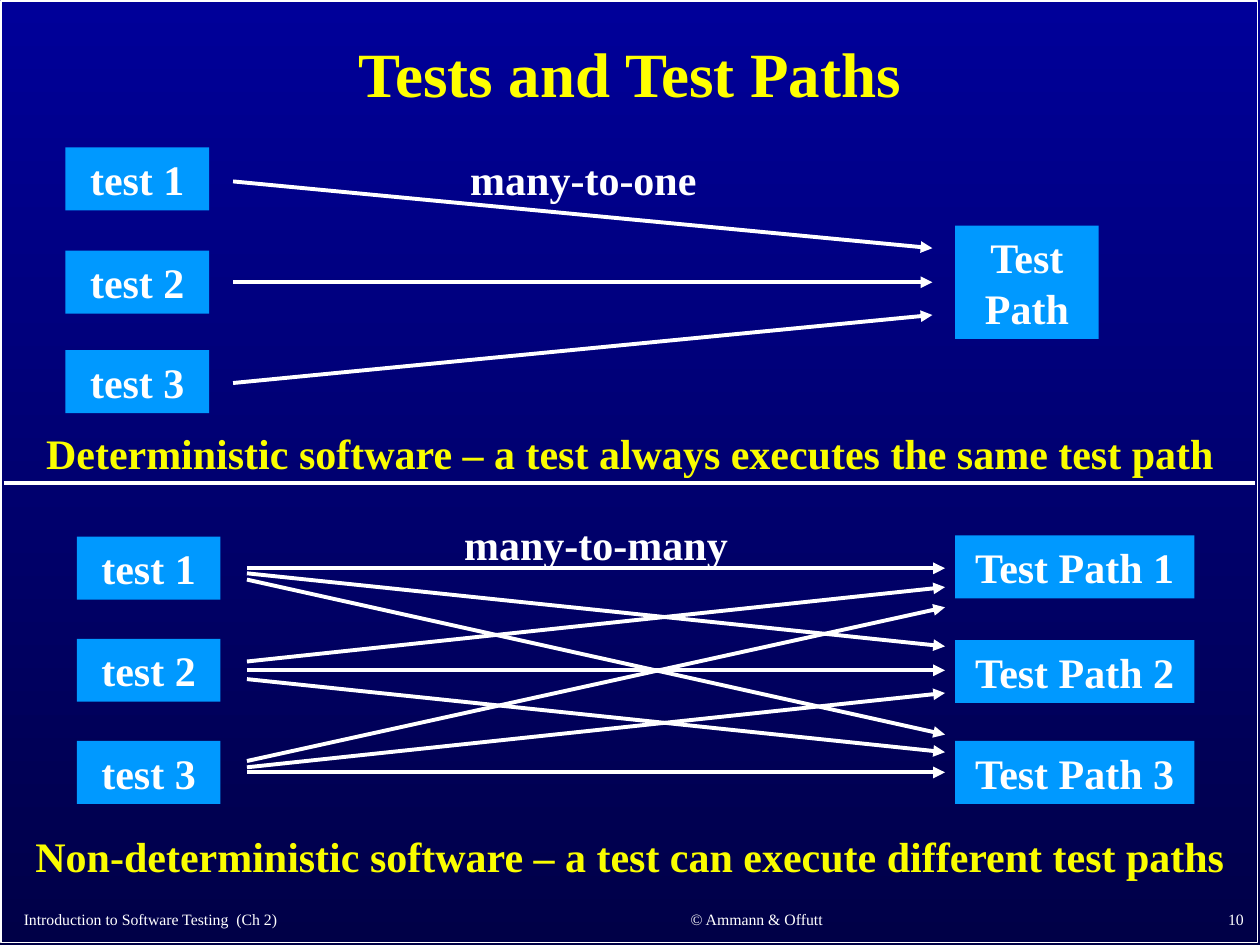
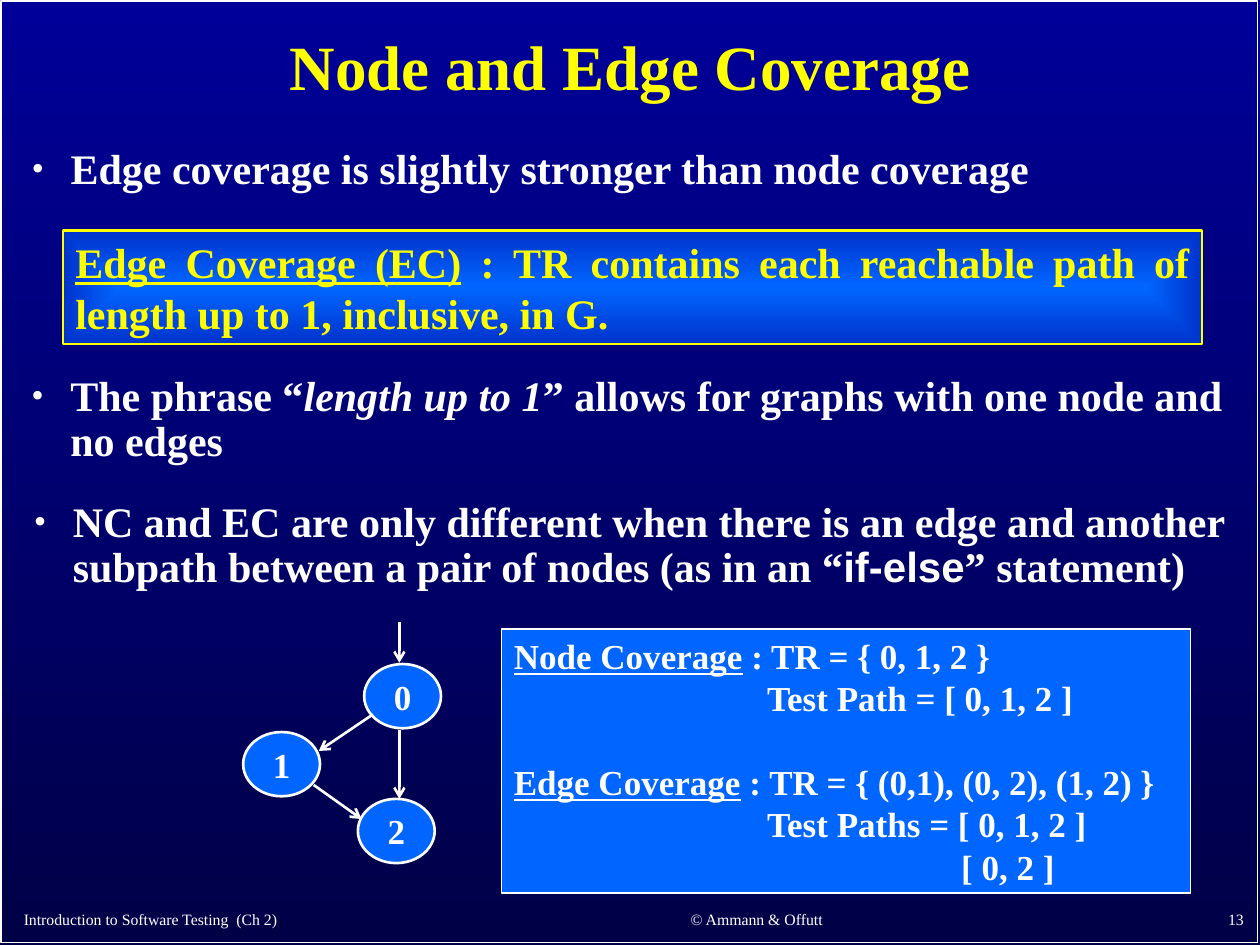
"""Build two slides on test paths and on node and edge coverage."""
from lxml.etree import SubElement
from pptx import Presentation
from pptx.dml.color import RGBColor
from pptx.enum.shapes import MSO_CONNECTOR, MSO_SHAPE
from pptx.enum.text import MSO_ANCHOR, MSO_AUTO_SIZE, PP_ALIGN
from pptx.oxml.ns import qn
from pptx.util import Inches, Pt

ink = RGBColor.from_string
WHITE, GOLD, LEMON = "FFFFFF", "FFFF00", "FAFD00"
SKY, BLUE, DEEP = "0099FF", "0066FF", "0033CC"
FACE = "Times New Roman"
RECT, OVAL = MSO_SHAPE.RECTANGLE, MSO_SHAPE.OVAL
MID = {"alignment": PP_ALIGN.CENTER}
TIGHT = {"line_spacing": 0.9, "space_before": Pt(0)}


def put(page, at, lines, kind=None, hold=None, fill=None, edge=None, width=1,
        color=WHITE, size=24, bold=True, anchor=MSO_ANCHOR.TOP, par=MID):
    """Place a shape, text box or placeholder and write its lines of runs."""
    spot = [Inches(n) for n in at]
    shape = hold or (page.shapes.add_shape(kind, *spot) if kind
                     else page.shapes.add_textbox(*spot))
    for key, val in zip(("left", "top", "width", "height"), spot):
        setattr(shape, key, val)
    if kind:
        shape.shadow.inherit = False
        for part, tone in ((shape.fill, fill), (shape.line.fill, edge)):
            if tone:
                part.solid()
                part.fore_color.rgb = ink(tone)
            else:
                part.background()
        if edge:
            shape.line.width = Pt(width)
    frame = shape.text_frame
    look = {"word_wrap": True, "auto_size": MSO_AUTO_SIZE.NONE, "vertical_anchor": anchor}
    for key, val in look.items():
        setattr(frame, key, val)
    for num, runs in enumerate(lines):
        para = frame.add_paragraph() if num else frame.paragraphs[0]
        for key, val in par.items():
            setattr(para, key, val)
        for text, extra in runs:
            run = para.add_run()
            run.text = text
            run.font.color.rgb = ink(color)
            form = {"name": FACE, "size": Pt(size), "bold": bold} | extra
            for key, val in form.items():
                setattr(run.font, key, val)
    return shape


def link(page, start, end, width=2.25, tip=None):
    """Draw a white line with an optional arrowhead at its end."""
    spots = [Inches(n) for n in (*start, *end)]
    line = page.shapes.add_connector(MSO_CONNECTOR.STRAIGHT, *spots)
    line.line.color.rgb = ink(WHITE)
    line.line.width = Pt(width)
    props = line._element.spPr
    if tip:
        SubElement(props.find(qn("a:ln")), qn("a:tailEnd"), {"type": tip})
    SubElement(props, qn("a:effectLst"))


deck = Presentation()
deck.slide_width, deck.slide_height = Inches(10), Inches(7.5)
back = deck.slide_master.background.fill
back.gradient()
back.gradient_angle = 270
for stop, tone in zip(back.gradient_stops, ("000099", "000047")):
    stop.color.rgb = ink(tone)

pages = []
for layout, title, high, number in ((5, "Tests and Test Paths", 1, "10"),
                                    (1, "Node and Edge Coverage", 0.9, "13")):
    page = deck.slides.add_slide(deck.slide_layouts[layout])
    pages.append(page)
    put(page, (0.01, 0.01, 9.97, 7.47), [], RECT, edge=WHITE)
    for at, text, side in (
            ((0.09, 7.12, 4.12, 0.3), "Introduction to Software Testing  (Ch 2)", PP_ALIGN.LEFT),
            ((4.42, 7.11, 3.17, 0.31), "© Ammann & Offutt", PP_ALIGN.CENTER),
            ((7.89, 7.1, 2.08, 0.32), number, PP_ALIGN.RIGHT)):
        put(page, at, [[(text, {})]], size=9, bold=False,
            anchor=MSO_ANCHOR.BOTTOM, par={"alignment": side})
    put(page, (0.75, 0.11, 8.5, high), [[(title, {})]], hold=page.shapes.title,
        color=GOLD, size=36, anchor=MSO_ANCHOR.MIDDLE, par=MID | TIGHT)
paths, cover = pages

for left, tops in ((0.52, (1.17, 1.99, 2.78)), (0.61, (4.26, 5.07, 5.88))):
    for num, top in enumerate(tops, 1):
        put(paths, (left, top, 1.14, 0.5), [[(f"test {num}", {})]], RECT, fill=SKY)
for num, top in enumerate((4.25, 5.08, 5.88), 1):
    put(paths, (7.58, top, 1.9, 0.5), [[(f"Test Path {num}", {})]], RECT, fill=SKY)
put(paths, (7.58, 1.79, 1.14, 0.9), [[("Test Path", {})]], RECT, fill=SKY)

for at, text, tone in (
        ((3.53, 1.17, 2.2, 0.5), "many-to-one", WHITE),
        ((3.5, 4.07, 2.46, 0.5), "many-to-many", WHITE),
        ((0.14, 3.34, 9.72, 0.5),
         "Deterministic software – a test always executes the same test path", LEMON),
        ((0.14, 6.54, 9.72, 0.5),
         "Non-deterministic software – a test can execute different test paths", LEMON)):
    put(paths, at, [[(text, {})]], color=tone)

for start, end in ((1.44, 1.97), (2.24, 2.24), (3.04, 2.5)):
    link(paths, (1.85, start), (7.4, end), tip="triangle")
exits = ((4.51, 4.55, 4.6), (5.25, 5.32, 5.39), (6.04, 6.09, 6.13))
goals = ((4.51, 5.13, 5.83), (4.66, 5.32, 5.97), (4.82, 5.5, 6.13))
for starts, ends in zip(exits, goals):
    for start, end in zip(starts, ends):
        link(paths, (1.96, start), (7.5, end), tip="triangle")
link(paths, (0.03, 3.83), (9.96, 3.83))

points = (
    ((0.15, 1.13, 9.7, 0.52), cover.placeholders[1],
     [("Edge coverage is slightly stronger than node coverage", {})]),
    ((0.15, 2.93, 9.7, 0.83), None,
     [("The phrase “", {}), ("length up to 1", {"italic": True}),
      ("” allows for graphs with one node and no edges", {})]),
    ((0.17, 3.93, 9.7, 0.83), None,
     [("NC and EC are only different when there is an edge and another subpath "
       "between a pair of nodes (as in an “", {}), ("if-else", {"name": "Arial"}),
      ("” statement)", {})]))
for at, hold, runs in points:
    point = put(cover, at, [runs], hold=hold, par=TIGHT)
    props = point.text_frame.paragraphs[0]._p.get_or_add_pPr()
    props.set("marL", str(Inches(0.31)))
    props.set("indent", str(-Inches(0.31)))
    SubElement(SubElement(props, qn("a:buClr")), qn("a:srgbClr"), {"val": WHITE})
    SubElement(props, qn("a:buSzPct"), {"val": "85000"})
    SubElement(props, qn("a:buFont"), {"typeface": FACE})
    SubElement(props, qn("a:buChar"), {"char": "•"})

rule = put(cover, (0.5, 1.83, 9.04, 0.9),
           [[("Edge Coverage (EC)", {"underline": True}),
             (" : TR contains each reachable path of length up to 1, inclusive, in G.", {})]],
           RECT, fill=BLUE, edge=GOLD, width=1.5, color=GOLD,
           par={"alignment": PP_ALIGN.JUSTIFY})
rule.fill.gradient()
for stop, tone in zip(rule.fill.gradient_stops, (BLUE, DEEP)):
    stop.color.rgb = ink(tone)
grad = rule._element.spPr.find(qn("a:gradFill"))
grad.remove(grad.find(qn("a:lin")))
glow = SubElement(grad, qn("a:path"), {"path": "rect"})
SubElement(glow, qn("a:fillToRect"), dict.fromkeys("ltrb", "50000"))

sums = put(cover, (3.98, 4.99, 5.47, 2.1),
           [[("Node Coverage", {"underline": True}), (" : TR = { 0, 1, 2 }", {})],
            [("Test Path = [ 0, 1, 2 ]", {})],
            [("Edge Coverage", {"underline": True}),
             (" : TR = { (0,1), (0, 2), (1, 2) }", {})],
            [("Test Paths = [ 0, 1, 2 ]", {})],
            [("[ 0, 2 ]", {})]],
           RECT, fill=BLUE, edge=WHITE, size=20, par={"alignment": PP_ALIGN.LEFT})
rows = sums.text_frame.paragraphs
rows[2].space_before = Pt(24)
for row, inset in zip(rows, (0, 2.01, 0, 2.01, 3.55)):
    row._p.get_or_add_pPr().set("marL", str(Inches(inset)))

for name, left, top in (("1", 1.93, 5.81), ("2", 2.84, 6.34), ("0", 2.89, 5.27)):
    node = put(cover, (left, top, 0.61, 0.51), [[(name, {})]], OVAL, fill=BLUE,
               edge=WHITE, width=1.5, size=20, anchor=MSO_ANCHOR.MIDDLE)
    for side in ("left", "top", "right", "bottom"):
        setattr(node.text_frame, f"margin_{side}", 0)
for start, end in (((2.96, 5.67), (2.53, 5.96)), ((2.49, 6.23), (2.87, 6.5)),
                   ((3.17, 5.79), (3.17, 6.34)), ((3.17, 4.94), (3.17, 5.26))):
    link(cover, start, end, 1.5, "arrow")

deck.save("out.pptx")
